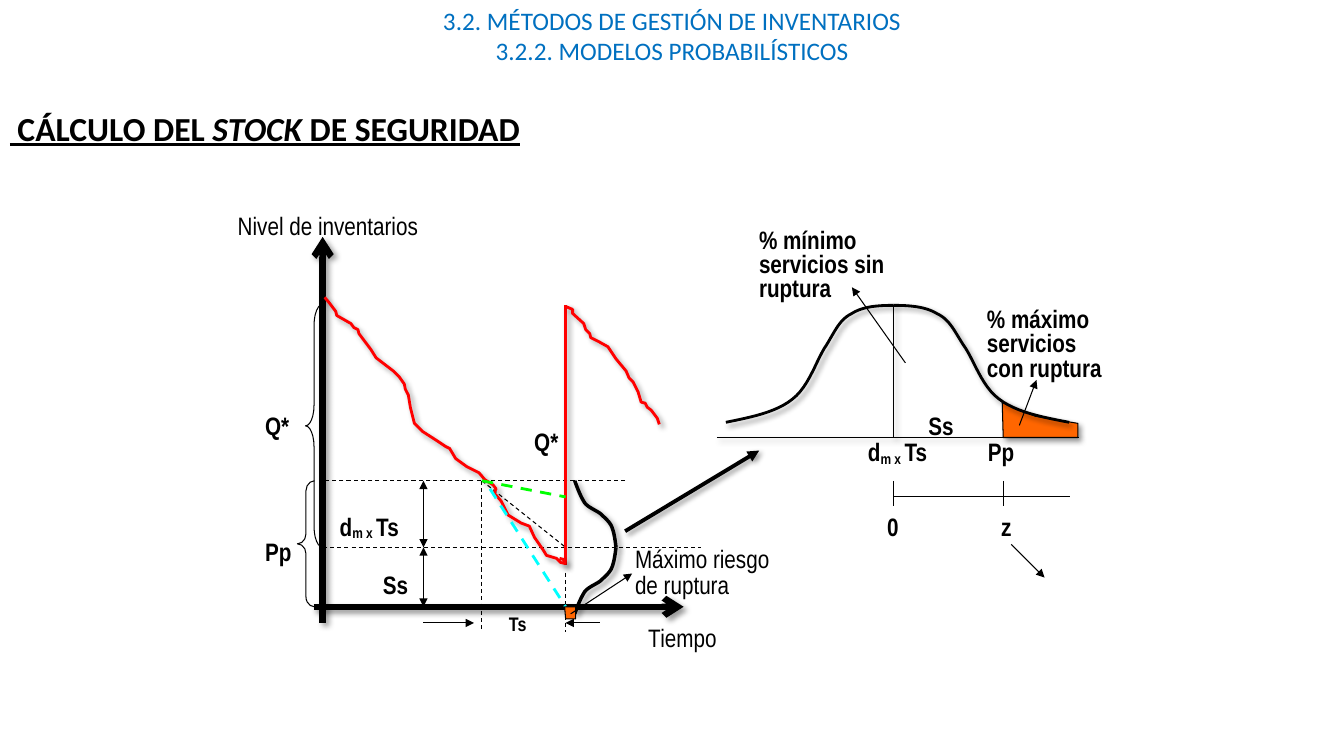
from dataclasses import dataclass

from lxml import etree
from pptx import Presentation, util as u
from pptx.dml.color import RGBColor
from pptx.enum import dml, shapes, text
from pptx.oxml import parse_xml
from pptx.oxml.ns import qn


@dataclass(frozen=True)
class Theme:
    body: str = "Arial Narrow"
    heading: str = "Calibri"
    black: str = "000000"
    blue: str = "0070C0"
    red: str = "FF0000"
    green: str = "00FF00"
    cyan: str = "00FFFF"
    orange: str = "FF6600"
    small: int = 14
    normal: int = 18
    large: int = 24
    thin: float = 0.75
    curve: float = 2
    bell: float = 2.5
    arrow: float = 2.75
    axis: float = 4.5


THEME = Theme()
WIDTH, HEIGHT = 13.33, 7.5  # grid of one-inch columns and rows

# Inventory chart: columns of the time axis and rows of the stock levels
ORIGIN, ORDER_TIME, ARRIVAL, LEVELS = 3.2, 4.78, 5.61, 4.2
ORDER_POINT, SAFETY, ZERO, TICKS = 4.77, 5.43, 6.02, 6.18
# Normal distribution: columns of the mean and the order point
MEAN, Z, PEAK, BASE, SCALE = 8.86, 9.95, 3.03, 4.34, 4.93

FIRST_CYCLE = [
    (3.22, 2.95), (3.27, 3.01), (3.33, 3.09), (3.34, 3.13), (3.48, 3.21), (3.51, 3.25),
    (3.55, 3.27), (3.56, 3.31), (3.68, 3.47), (3.73, 3.55), (3.9, 3.68), (3.96, 3.74),
    (4.01, 3.81), (4.02, 3.86), (4.05, 3.92), (4.07, 4.04), (4.11, 4.2), (4.19, 4.28),
    (4.33, 4.37), (4.42, 4.43), (4.46, 4.45), (4.52, 4.55), (4.63, 4.63), (4.75, 4.69),
    (4.81, 4.76), (4.89, 4.81), (4.92, 4.85), (4.9, 4.89), (4.97, 4.97), (5.04, 5.11),
    (5.17, 5.19), (5.25, 5.22), (5.3, 5.33), (5.39, 5.46), (5.42, 5.51), (5.52, 5.54),
    (5.56, 5.58), (5.6, 5.59), (5.59, 5.55), (5.55, 5.54)]
SECOND_CYCLE = [
    (5.61, 3.04), (5.68, 3.07), (5.68, 3.11), (5.79, 3.21), (5.81, 3.27), (5.85, 3.31),
    (5.86, 3.35), (5.94, 3.39), (6.03, 3.44), (6.11, 3.56), (6.21, 3.68), (6.24, 3.75),
    (6.28, 3.79), (6.33, 3.89), (6.36, 3.99), (6.4, 4), (6.42, 4.04), (6.46, 4.07),
    (6.52, 4.15), (6.54, 4.21)]
# Bezier points: a start, then two controls and an end for each piece
DEMAND_SPREAD = [
    (5.7, 4.77), (5.73, 4.85), (5.76, 4.93), (5.8, 4.99), (5.84, 5.04), (5.91, 5.06),
    (5.96, 5.1), (6, 5.14), (6.03, 5.16), (6.06, 5.21), (6.09, 5.27), (6.1, 5.35),
    (6.11, SAFETY)]
LEFT_BELL = [
    (MEAN, PEAK), (8.71, 3.03), (8.56, 3.04), (8.45, 3.11), (8.33, 3.17), (8.29, 3.27),
    (8.2, 3.42), (8.1, 3.56), (8.03, 3.83), (7.86, 3.96), (7.7, 4.09), (7.45, 4.14),
    (7.2, 4.19)]
RISK_AREA = [(Z, BASE), (9.94, 3.99), (10.27, 4.13), (10.69, 4.2), (10.69, BASE)]
RISK_TAIL = [(5.6, ZERO), (5.71, ZERO), (5.71, 6.14), (5.61, 6.14)]


def smooth(points, steps=12):
    """Return points along a chain of cubic Bezier pieces."""
    path = [points[0]]
    for i in range(0, len(points) - 1, 3):
        piece = points[i:i + 4]
        for step in range(1, steps + 1):
            t = step / steps
            weights = ((1 - t) ** 3, 3 * t * (1 - t) ** 2, 3 * t * t * (1 - t), t ** 3)
            path.append(tuple(sum(w * p[axis] for w, p in zip(weights, piece))
                              for axis in (0, 1)))
    return path


def finish(drawn, colour, weight, shadow=False, dashed=False, ends=()):
    """Set the stroke, its arrowheads and the shadow."""
    drawn.line.color.rgb = RGBColor.from_string(colour)
    drawn.line.width = u.Pt(weight)
    if dashed:
        drawn.line.dash_style = dml.MSO_LINE.DASH
    properties = drawn._element.spPr
    for end, head in ends:
        etree.SubElement(properties.find(qn("a:ln")), qn(f"a:{end}"), type=head)
    effects = etree.SubElement(properties, qn("a:effectLst"))
    if shadow:
        effects.append(parse_xml(
            '<a:outerShdw xmlns:a="http://schemas.openxmlformats.org/drawingml/2006/main" '
            'blurRad="50800" dist="38100" dir="2700000" algn="tl" rotWithShape="0">'
            '<a:srgbClr val="000000"><a:alpha val="40000"/></a:srgbClr></a:outerShdw>'))


def line(slide, start, end, colour=THEME.black, weight=THEME.thin, **style):
    places = [u.Inches(v) for v in (*start, *end)]
    finish(slide.shapes.add_connector(shapes.MSO_CONNECTOR.STRAIGHT, *places),
           colour, weight, **style)


def arrow(slide, start, end, both=False, **style):
    ends = [("headEnd", "triangle")] * both + [("tailEnd", "triangle")]
    line(slide, start, end, ends=ends, **style)


def outline(slide, points, colour=THEME.black, weight=THEME.thin, fill=None, shadow=True):
    """Draw an open curve, or a closed area when a fill is given."""
    first, *rest = [tuple(u.Inches(v) for v in point) for point in points]
    builder = slide.shapes.build_freeform(*first)
    builder.add_line_segments(rest, close=bool(fill))
    drawn = builder.convert_to_shape()
    if fill:
        drawn.fill.solid()
        drawn.fill.fore_color.rgb = RGBColor.from_string(fill)
    else:
        drawn.fill.background()
    finish(drawn, colour, weight, shadow)


def brace(slide, left, top, bottom, curl):
    box = [u.Inches(v) for v in (left, top, 0.17, bottom - top)]
    drawn = slide.shapes.add_shape(shapes.MSO_SHAPE.LEFT_BRACE, *box)
    drawn.adjustments[0] = curl
    drawn.fill.background()
    finish(drawn, THEME.black, THEME.thin)


def write(paragraph, content, size=THEME.normal, font=THEME.body, colour=THEME.black,
          bold=False, underline=None, italic=None, subscript=False):
    run = paragraph.add_run()
    run.text = content
    run.font.name, run.font.size = font, u.Pt(size)
    run.font.bold, run.font.italic, run.font.underline = bold, italic, underline
    run.font.color.rgb = RGBColor.from_string(colour)
    if subscript:
        run.font._element.set("baseline", "-10000")


def label(slide, left, top, width, *parts, height=0.4, spacing=1.0, **style):
    """Place a text box; each part is a string or (string, own style)."""
    box = [u.Inches(v) for v in (left, top, width, height)]
    frame = slide.shapes.add_textbox(*box).text_frame
    frame.word_wrap = True
    paragraph = frame.paragraphs[0]
    paragraph.line_spacing = spacing
    for part in parts:
        content, own = (part, {}) if isinstance(part, str) else part
        write(paragraph, content, **{**style, **own})


def add_headings(slide):
    title = slide.shapes.title
    title.left, title.top, title.width, title.height = (
        u.Inches(v) for v in (0, 0, WIDTH, 0.7))
    frame = title.text_frame
    frame.vertical_anchor = text.MSO_ANCHOR.TOP
    frame.auto_size = text.MSO_AUTO_SIZE.NONE
    for i, heading in enumerate(("3.2. MÉTODOS DE GESTIÓN DE INVENTARIOS",
                                 "3.2.2. MODELOS PROBABILÍSTICOS")):
        paragraph = frame.add_paragraph() if i else frame.paragraphs[0]
        paragraph.alignment = text.PP_ALIGN.CENTER
        write(paragraph, heading, font=THEME.heading, colour=THEME.blue)
    label(slide, 0, 1.02, 7.53, " CÁLCULO DEL ", ("STOCK", {"italic": True}),
          " DE SEGURIDAD", height=0.5, size=THEME.large, font=THEME.heading,
          bold=True, underline=True)


def add_inventory_chart(slide):
    order, arrival = (ORDER_TIME, ORDER_POINT), (ARRIVAL, SAFETY)
    for start, end in (((ORIGIN, SAFETY), (6.95, SAFETY)), ((6.2, ORDER_POINT), (ORIGIN, ORDER_POINT)),
                       (order, (ORDER_TIME, 6.27)), ((ARRIVAL, 5.68), (ARRIVAL, 6.27)),
                       (order, arrival)):
        line(slide, start, end, dashed=True)
    arrow(slide, (LEVELS, TICKS), (4.7, TICKS))
    arrow(slide, (5.95, TICKS), (ARRIVAL, TICKS))
    for top, bottom in ((ORDER_POINT, SAFETY), (SAFETY, ZERO)):
        arrow(slide, (LEVELS, top), (LEVELS, bottom), both=True)
    line(slide, (ARRIVAL, 5.61), (ARRIVAL, PEAK), THEME.red, THEME.curve, shadow=True)
    for start, end in (((ORIGIN, TICKS), (ORIGIN, 2.35)), ((3.11, ZERO), (6.78, ZERO))):
        line(slide, start, end, weight=THEME.axis, shadow=True, ends=[("tailEnd", "arrow")])
    for cycle in (FIRST_CYCLE, SECOND_CYCLE):
        outline(slide, cycle, THEME.red, THEME.curve)
    brace(slide, 3.03, 3.02, SAFETY, 1.21)
    brace(slide, 2.95, ORDER_POINT, ZERO, 0.58)
    line(slide, order, (ARRIVAL, SCALE), THEME.green, THEME.curve, dashed=True)
    line(slide, (4.86, 4.85), (ARRIVAL, ZERO), THEME.cyan, THEME.curve, dashed=True)
    mirrored = [(x, 2 * SAFETY - y) for x, y in DEMAND_SPREAD]
    for half in (DEMAND_SPREAD, mirrored):
        outline(slide, smooth(half), weight=THEME.bell)
    outline(slide, RISK_TAIL, fill=THEME.orange, shadow=False)
    arrow(slide, (5.66, 6.09), (6.27, 5.69))


def add_distribution(slide):
    line(slide, (7.11, BASE), (10.7, BASE), shadow=True)
    line(slide, (MEAN, PEAK), (MEAN, BASE), shadow=True)
    outline(slide, RISK_AREA, fill=THEME.orange)
    right_bell = [(MEAN + 1.05 * (MEAN - x), y) for x, y in LEFT_BELL]
    for half in (LEFT_BELL, right_bell):
        outline(slide, smooth(half), weight=THEME.curve)
    line(slide, (MEAN, SCALE), (10.61, SCALE))
    for mark in (MEAN, Z):
        line(slide, (mark, ORDER_POINT), (mark, 5.02))
    for start, end in (((10.03, 5.4), (10.36, 5.73)), ((8.98, 3.6), (8.45, 2.85)),
                       ((10.11, 4.22), (10.28, 3.77))):
        arrow(slide, start, end)
    arrow(slide, (6.2, 5.27), (7.53, 4.47), weight=THEME.arrow, shadow=True)


def add_labels(slide):
    for left, top, symbol in ((2.53, 4.02, "Q*"), (5.2, 4.18, "Q*"), (3.7, 5.6, "Ss"),
                              (2.53, 5.27, "Pp"), (9.11, 4.02, "Ss"), (9.7, 4.28, "Pp"),
                              (8.7, 5.02, "0"), (9.83, 5.02, "z")):
        label(slide, left, top, 0.58, symbol, bold=True)
    for left, top in ((3.27, 5.02), (8.51, 4.28)):
        label(slide, left, top, 0.92, "d", ("m x ", {"subscript": True}), "Ts", bold=True)
    label(slide, 4.95, ZERO, 0.5, "Ts", height=0.33, size=THEME.small, bold=True)
    label(slide, 2.26, 2.04, 2.33, "Nivel de inventarios")
    label(slide, 6.33, 6.12, 2.33, "Tiempo")
    label(slide, 6.2, 5.39, 1.67, "Máximo riesgo de ruptura", height=0.61, spacing=0.85)
    for left, top, width, share in ((7.43, 2.23, 1.67, "% mínimo servicios sin ruptura"),
                                    (9.69, 3.02, 1.42, "% máximo servicios con ruptura")):
        label(slide, left, top, width, share, height=0.82, spacing=0.8, bold=True)


def main():
    deck = Presentation()
    deck.slide_width, deck.slide_height = u.Inches(WIDTH), u.Inches(HEIGHT)
    slide = deck.slides.add_slide(deck.slide_layouts[5])
    for add in (add_headings, add_inventory_chart, add_distribution, add_labels):
        add(slide)
    deck.save("out.pptx")


if __name__ == "__main__":
    main()
